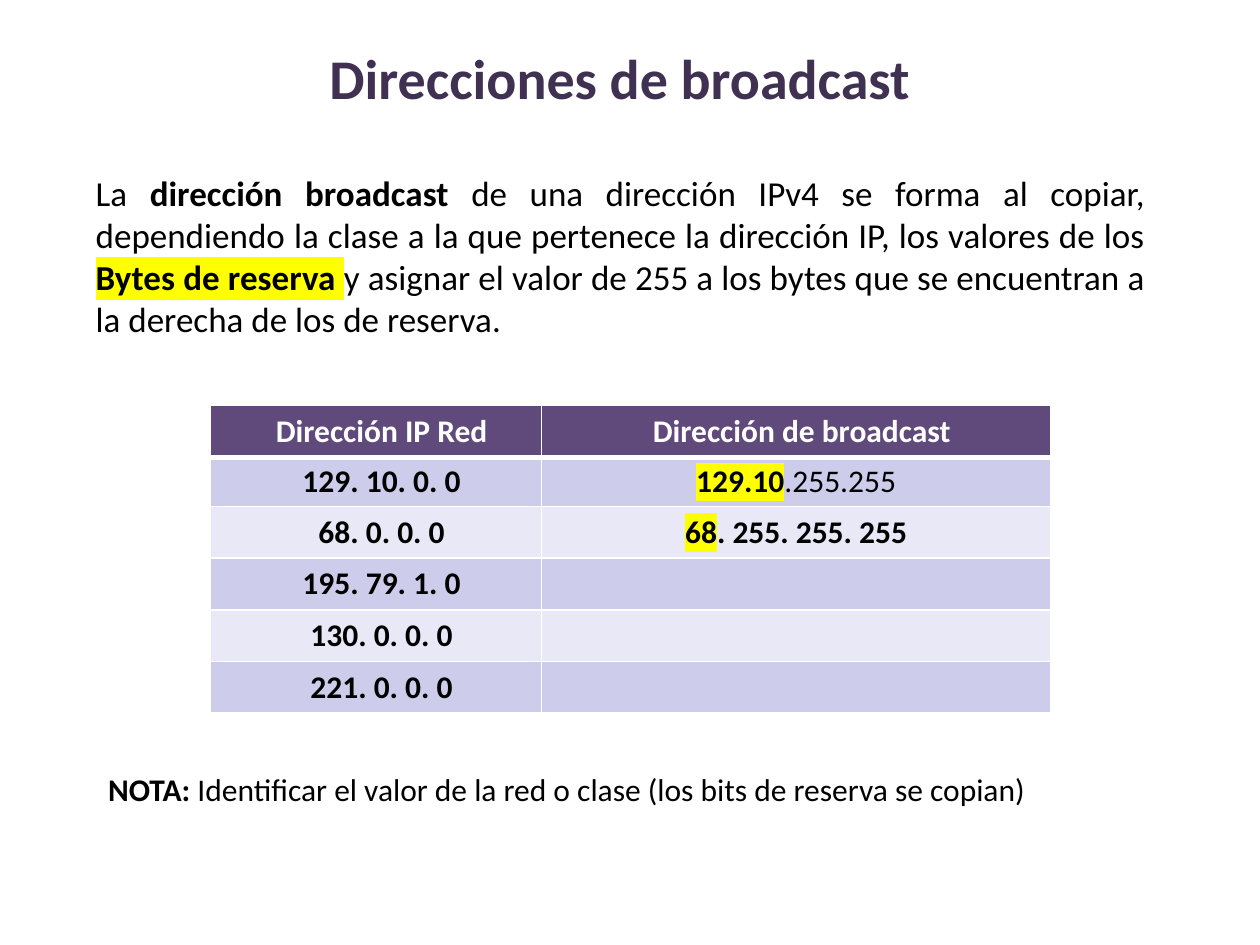
from dataclasses import dataclass
from typing import Any

from lxml import etree
from pptx import Presentation
from pptx import util as u
from pptx.dml.color import RGBColor
from pptx.enum import text
from pptx.oxml import ns


@dataclass(frozen=True)
class Theme:
    font: str = "Calibri"
    title: str = "403152"
    ink: str = "000000"
    paper: str = "FFFFFF"
    marker: str = "FFFF00"
    header: str = "604A7B"
    bands: tuple[str, str] = ("CDCDEB", "E8E8F6")
    title_size: int = 32
    body_size: int = 20
    small_size: int = 18
    rule: int = 1
    header_rule: int = 3


@dataclass(frozen=True)
class Part:
    words: str
    bold: bool = False
    marked: bool = False


@dataclass(frozen=True)
class Area:
    left: float
    top: float
    width: float
    height: float

    def emu(self) -> tuple[int, int, int, int]:
        return (int(self.left * WIDTH), int(self.top * HEIGHT),
                int(self.width * WIDTH), int(self.height * HEIGHT))


THEME = Theme()
WIDTH, HEIGHT = u.Inches(10), u.Inches(7.5)
LEFT, SPAN = 0.075, 0.834
TITLE_AREA = Area(LEFT, 0.13 / 7.5, SPAN, 0.1)
DEFINITION_AREA = Area(LEFT, 1.36 / 7.5, SPAN, 0.18)
ADDRESS_AREA = Area(0.167, 3.22 / 7.5, 0.667, 2.43 / 7.5)
NOTE_AREA = Area(LEFT, 0.808, SPAN, 0.4 / 7.5)
COLUMN_SHARES = (0.394, 0.606)
ROW_HEIGHTS = (0.41, 0.39, 0.41, 0.41, 0.41, 0.41)
NO_MARGINS = dict(margin_left=0, margin_top=0, margin_right=0, margin_bottom=0)
CENTER, JUSTIFY = text.PP_ALIGN.CENTER, text.PP_ALIGN.JUSTIFY

DEFINITION = [
    Part("La "),
    Part("dirección broadcast ", bold=True),
    Part("de una dirección IPv4 se forma al copiar, dependiendo la clase a la que "
         "pertenece la dirección IP, los valores de los "),
    Part("Bytes de reserva ", bold=True, marked=True),
    Part("y asignar el valor de 255 a los bytes que se encuentran a la derecha "
         "de los de reserva."),
]
NOTE = [
    Part("NOTA: ", bold=True),
    Part("Identificar el valor de la red o clase (los bits de reserva se copian)"),
]
HEADINGS = ("Dirección IP Red", "Dirección de broadcast")
ADDRESSES = [
    ("129. 10. 0. 0", [Part("129.10", True, True), Part(".255.255")]),
    ("68. 0. 0. 0", [Part("68", True, True), Part(". 255. 255. 255", True)]),
    ("195. 79. 1. 0", []),
    ("130. 0. 0. 0", []),
    ("221. 0. 0. 0", []),
]


def apply(target: Any, values: dict[str, Any]) -> None:
    for name, value in values.items():
        setattr(target, name, value)


def color_node(parent: Any, tag: str, color: str) -> Any:
    holder = etree.SubElement(parent, ns.qn(tag))
    etree.SubElement(holder, ns.qn("a:srgbClr"), val=color)
    return holder


def write(paragraph: Any, parts: list[Part], size: int, color: str,
          align: Any, indent: float = 0) -> None:
    paragraph.alignment = align
    paragraph._p.get_or_add_pPr().set("marL", str(u.Inches(indent)))
    paragraph.font.size = u.Pt(size)
    for part in parts:
        run = paragraph.add_run()
        run.text = part.words
        run.font.color.rgb = RGBColor.from_string(color)
        if part.marked:
            properties = run._r.get_or_add_rPr()
            color_node(properties, "a:highlight", THEME.marker)
        apply(run.font, dict(size=u.Pt(size), bold=part.bold, name=THEME.font))


def draw_title(slide: Any) -> None:
    title = slide.shapes.title
    apply(title, dict(zip(("left", "top", "width", "height"), TITLE_AREA.emu())))
    frame = title.text_frame
    apply(frame, NO_MARGINS | dict(
        margin_top=u.Inches(0.21), word_wrap=True,
        vertical_anchor=text.MSO_ANCHOR.MIDDLE,
        auto_size=text.MSO_AUTO_SIZE.SHAPE_TO_FIT_TEXT))
    write(frame.paragraphs[0], [Part("Direcciones de broadcast", bold=True)],
          THEME.title_size, THEME.title, CENTER)


def draw_passage(slide: Any, area: Area, parts: list[Part], size: int,
                 margins: dict[str, int]) -> None:
    frame = slide.shapes.add_textbox(*area.emu()).text_frame
    apply(frame, margins | dict(
        word_wrap=True, auto_size=text.MSO_AUTO_SIZE.SHAPE_TO_FIT_TEXT))
    write(frame.paragraphs[0], parts, size, THEME.ink, JUSTIFY, 0.01)


def draw_borders(cell: Any, top: int, bottom: int) -> None:
    properties = cell._tc.get_or_add_tcPr()
    sides = dict(lnL=THEME.rule, lnR=THEME.rule, lnT=top, lnB=bottom)
    for position, (side, weight) in enumerate(sides.items()):
        line = etree.Element(ns.qn(f"a:{side}"), w=str(u.Pt(weight)))
        color_node(line, "a:solidFill", THEME.paper)
        properties.insert(position, line)


def draw_addresses(slide: Any) -> None:
    rows = [[[Part(heading, bold=True)] for heading in HEADINGS]]
    rows += [[[Part(network, bold=True)], broadcast] for network, broadcast in ADDRESSES]
    table = slide.shapes.add_table(len(rows), len(HEADINGS), *ADDRESS_AREA.emu()).table
    for column, share in zip(table.columns, COLUMN_SHARES):
        column.width = int(share * ADDRESS_AREA.width * WIDTH)
    for row, height in zip(table.rows, ROW_HEIGHTS):
        row.height = u.Inches(height)
    for r, row in enumerate(rows):
        is_header = r == 0
        fill = THEME.header if is_header else THEME.bands[(r - 1) % 2]
        ink = THEME.paper if is_header else THEME.ink
        top = THEME.header_rule if r == 1 else THEME.rule
        bottom = THEME.header_rule if is_header else THEME.rule
        for c, parts in enumerate(row):
            cell = table.cell(r, c)
            apply(cell, NO_MARGINS | dict(vertical_anchor=text.MSO_ANCHOR.MIDDLE))
            cell.fill.solid()
            cell.fill.fore_color.rgb = RGBColor.from_string(fill)
            draw_borders(cell, top, bottom)
            indent = 0.09 if is_header or c == 0 else 0
            write(cell.text_frame.paragraphs[0], parts, THEME.small_size, ink,
                  CENTER, indent)


def main() -> None:
    deck = Presentation()
    apply(deck, dict(slide_width=WIDTH, slide_height=HEIGHT))
    slide = deck.slides.add_slide(deck.slide_layouts[5])
    draw_title(slide)
    draw_passage(slide, DEFINITION_AREA, DEFINITION, THEME.body_size, NO_MARGINS)
    draw_addresses(slide)
    draw_passage(slide, NOTE_AREA, NOTE, THEME.small_size, {})
    deck.save("out.pptx")


if __name__ == "__main__":
    main()
